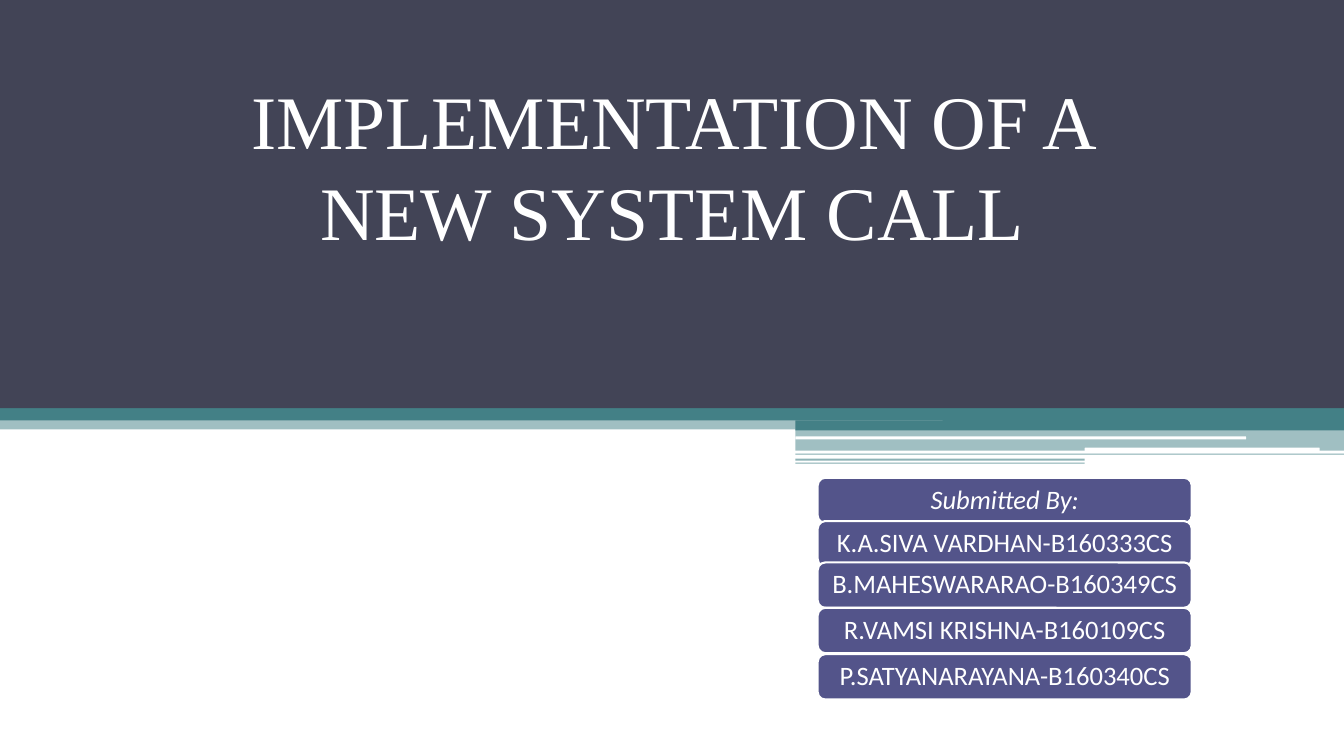
from lxml.etree import SubElement
from pptx import Presentation
from pptx.dml.color import RGBColor
from pptx.enum.shapes import MSO_SHAPE
from pptx.enum.text import MSO_ANCHOR, PP_ALIGN
from pptx.oxml.ns import qn
from pptx.util import Inches, Pt

SLIDE_WIDTH = Inches(13.33)
SLIDE_HEIGHT = Inches(7.5)
TEAL, SLATE, VIOLET, WHITE = "438086", "424456", "53548A", "FFFFFF"
STEP_LEFT, SPLIT_LEFT = 59.18, 80.71
STEP_WIDTH, SPLIT_WIDTH = 100 - STEP_LEFT, SPLIT_LEFT - STEP_LEFT

RECTANGLE, ROUNDED = MSO_SHAPE.RECTANGLE, MSO_SHAPE.ROUNDED_RECTANGLE
BANDS = [
    (RECTANGLE, STEP_LEFT, 55.6, STEP_WIDTH, 1.33, TEAL, 100),
    (RECTANGLE, STEP_LEFT, 56.8, STEP_WIDTH, 2.8, TEAL, 50),
    (RECTANGLE, STEP_LEFT, 60, STEP_WIDTH, 0.13, TEAL, 65),
    (RECTANGLE, STEP_LEFT, 60.67, SPLIT_WIDTH, 0.27, TEAL, 60),
    (RECTANGLE, STEP_LEFT, 61.2, SPLIT_WIDTH, 0.13, TEAL, 65),
    (ROUNDED, STEP_LEFT, 57.73, 33.53, 0.4, WHITE, 100),
    (ROUNDED, SPLIT_LEFT, 59.2, 17.48, 0.53, WHITE, 100),
    (RECTANGLE, 0, 53.2, 100, 3.6, TEAL, 50),
    (RECTANGLE, 0, 53.6, 100, 2, TEAL, 100),
    (RECTANGLE, 70.13, 53.07, 29.87, 3.6, TEAL, 100),
    (RECTANGLE, 0, 0, 100, 54, SLATE, 100),
]
CARDS = [
    ("Submitted By:", 63.2, True),
    ("K.A.SIVA VARDHAN-B160333CS", 68.93, False),
    ("B.MAHESWARARAO-B160349CS", 74.4, False),
    ("R.VAMSI KRISHNA-B160109CS", 80.4, False),
    ("P.SATYANARAYANA-B160340CS", 86.53, False),
]


def color(value):
    return RGBColor.from_string(value)


def place(left, top, width, height):
    return (
        int(SLIDE_WIDTH * left / 100),
        int(SLIDE_HEIGHT * top / 100),
        int(SLIDE_WIDTH * width / 100),
        int(SLIDE_HEIGHT * height / 100),
    )


def set_format(target, values):
    for name, value in values.items():
        setattr(target, name, value)


def add_block(slide, kind, left, top, width, height, fill, opacity=100):
    shape = slide.shapes.add_shape(kind, *place(left, top, width, height))
    shape.shadow.inherit = False
    shape.fill.solid()
    shape.fill.fore_color.rgb = color(fill)
    shape.line.fill.background()
    if opacity < 100:
        fill_color = shape.element.spPr.find(qn("a:solidFill"))[0]
        SubElement(fill_color, qn("a:alpha"), val=str(opacity * 1000))
    return shape


def write_text(shape, text, frame_format, paragraph_format, font_format):
    frame = shape.text_frame
    set_format(frame, {"word_wrap": True, **frame_format})
    paragraph = frame.paragraphs[0]
    set_format(paragraph, {"alignment": PP_ALIGN.CENTER, **paragraph_format})
    run = paragraph.add_run()
    run.text = text
    set_format(run.font, font_format)
    run.font.color.rgb = color(WHITE)


def add_title(slide, text):
    box = slide.shapes.add_textbox(*place(11.4, 7.73, 77.27, 26.67))
    write_text(
        box, text, {"vertical_anchor": MSO_ANCHOR.BOTTOM}, {},
        {"name": "Times New Roman", "size": Pt(54)},
    )


def add_card(slide, text, top, italic):
    card = add_block(slide, ROUNDED, 60.84, top, 27.83, 6, VIOLET)
    card.line.color.rgb = color(WHITE)
    card.line.width = Pt(1.5)
    frame_format = {
        "vertical_anchor": MSO_ANCHOR.MIDDLE,
        "margin_left": Inches(0.08),
        "margin_right": Inches(0.08),
        "margin_top": Inches(0.04),
        "margin_bottom": Inches(0.04),
    }
    write_text(
        card, text, frame_format, {"line_spacing": 0.9},
        {"name": "Calibri", "size": Pt(19), "italic": italic},
    )


def main():
    presentation = Presentation()
    set_format(presentation, {"slide_width": SLIDE_WIDTH, "slide_height": SLIDE_HEIGHT})
    slide = presentation.slides.add_slide(presentation.slide_layouts[6])
    for band in BANDS:
        add_block(slide, *band)
    add_title(slide, "IMPLEMENTATION OF A NEW SYSTEM CALL")
    for card in CARDS:
        add_card(slide, *card)
    presentation.save("out.pptx")


if __name__ == "__main__":
    main()
